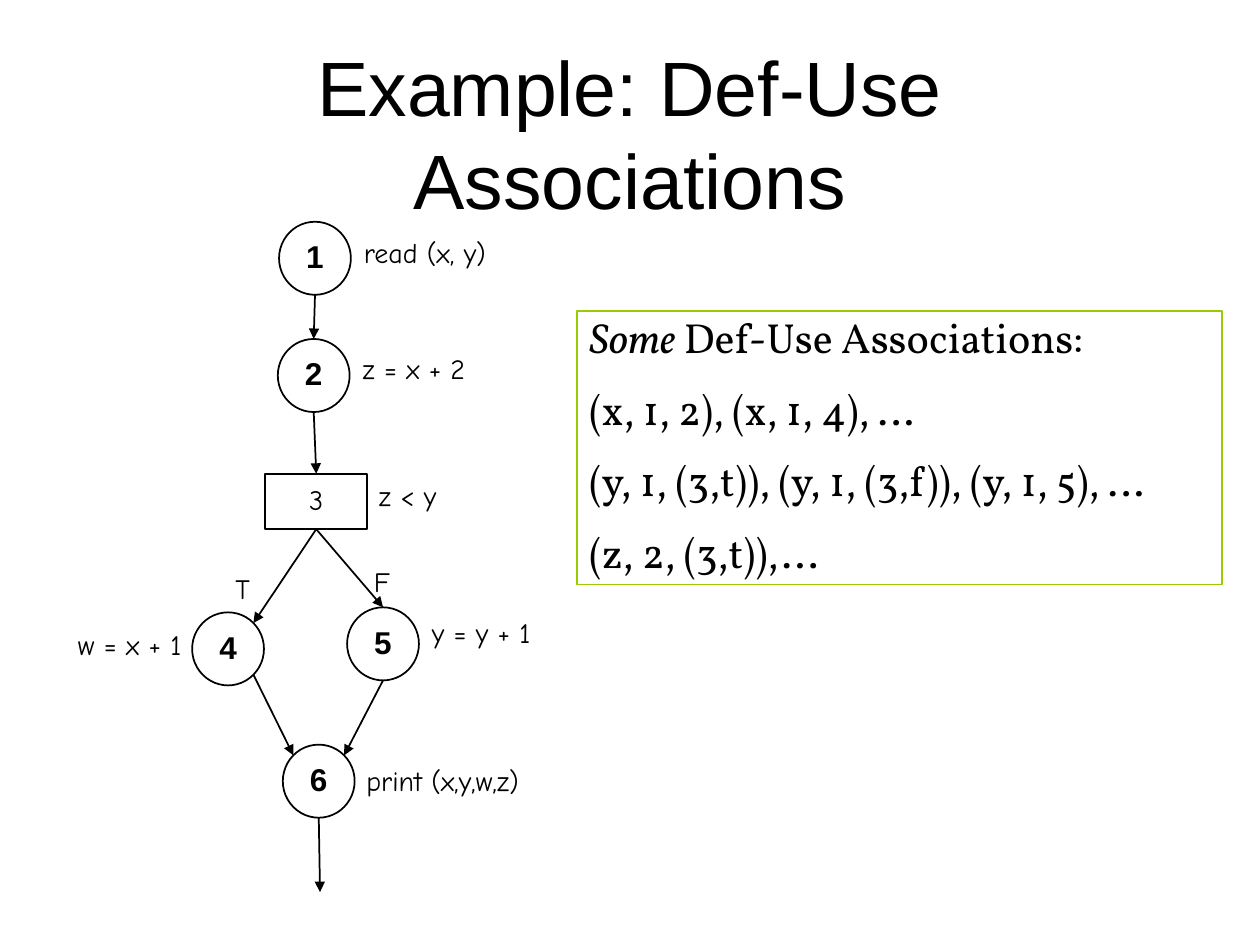
from dataclasses import dataclass
from math import hypot

from lxml.etree import SubElement
from pptx import Presentation
from pptx.dml.color import RGBColor
from pptx.enum.shapes import MSO_CONNECTOR as Connector, MSO_SHAPE as Shape
from pptx.enum.text import MSO_ANCHOR as Anchor, PP_ALIGN as Align
from pptx.oxml.ns import qn
from pptx.util import Inches, Pt


@dataclass(frozen=True)
class Theme:
    """Colours, fonts and sizes of the slide."""
    ink: RGBColor = RGBColor.from_string("000000")
    frame: RGBColor = RGBColor.from_string("99CC00")
    title_font: str = "Arial"
    label_font: str = "Comic Neue"
    body_font: str = "Vollkorn"
    title_size: int = 44
    body_size: int = 24
    node_size: int = 18
    label_size: int = 16
    line_width: int = 1
    spacing: float = 0.9
    body_gap: int = 15


@dataclass(frozen=True)
class Node:
    """A flow graph node, centred on a column and a row."""
    column: float
    row: float
    kind: Shape = Shape.OVAL
    width: float = 5.7
    height: float = 5.8

    def port(self, across, down):
        """Return the outline point in a direction given by signs."""
        reach = hypot(across, down)
        return (self.column + across / reach * self.width / 2,
                self.row + down / reach * self.height / 2)


THEME = Theme()
COLUMNS, ROWS = 100, 75
SLIDE_WIDTH, SLIDE_HEIGHT = Inches(10), Inches(7.5)
LABEL_HEIGHT = 3.4

NODES = {
    "1": Node(25, 20.5),
    "2": Node(24.9, 29.8),
    "3": Node(25.1, 39.8, Shape.RECTANGLE, 8.1, 4.4),
    "4": Node(18.1, 51.5),
    "5": Node(30.4, 51.1),
    "6": Node(25.3, 62),
}
TOP, BOTTOM = (0, -1), (0, 1)
TOP_LEFT, TOP_RIGHT, BOTTOM_RIGHT = (-1, -1), (1, -1), (1, 1)
EDGES = [
    ("1", BOTTOM, "2", TOP),
    ("2", BOTTOM, "3", TOP),
    ("3", BOTTOM, "4", TOP_RIGHT),
    ("3", BOTTOM, "5", TOP),
    ("4", BOTTOM_RIGHT, "6", TOP_LEFT),
    ("5", BOTTOM, "6", TOP_RIGHT),
]
EXIT = (25.4, 70.8)
LABELS = [
    ("read (x, y)", 27.9, 18.5, 13.2),
    ("z = x + 2", 27.8, 27.7, 13.2),
    ("z < y", 29.1, 37.8, 11),
    ("T", 17.7, 45.2, 5.3),
    ("F", 28.7, 44.6, 5.3),
    ("w = x + 1", 5.2, 49.6, 11),
    ("y = y + 1", 33.3, 48.7, 11),
    ("print (x,y,w,z)", 28.1, 60.4, 16.9),
]
ASSOCIATIONS = [
    [("Some", True), (" Def-Use Associations:", False)],
    [("(x, 1, 2), (x, 1, 4), …", False)],
    [("(y, 1, (3,t)), (y, 1, (3,f)), (y, 1, 5), …", False)],
    [("(z, 2, (3,t)),...", False)],
]


def place(column, row):
    """Turn a grid position or extent into slide lengths."""
    return (round(SLIDE_WIDTH * column / COLUMNS),
            round(SLIDE_HEIGHT * row / ROWS))


def add_run(paragraph, text, font_name, size, bold=False, italic=False):
    """Add one styled run to a paragraph."""
    run = paragraph.add_run()
    run.text = text
    font = run.font
    font.name, font.size = font_name, Pt(size)
    font.bold, font.italic = bold, italic
    font.color.rgb = THEME.ink


def add_text(slide, text, column, row, width, height, font_name, size):
    """Add a wrapping text box with one run and return it."""
    box = slide.shapes.add_textbox(*place(column, row), *place(width, height))
    box.text_frame.word_wrap = True
    add_run(box.text_frame.paragraphs[0], text, font_name, size)
    return box


def add_title(slide, text):
    """Add the centred slide title."""
    frame = add_text(slide, text, 7.5, 7.5, 85, 6,
                     THEME.title_font, THEME.title_size).text_frame
    frame.vertical_anchor = Anchor.MIDDLE
    frame.paragraphs[0].alignment = Align.CENTER


def add_label(slide, text, column, row, width):
    """Add a statement or branch label beside the graph."""
    box = add_text(slide, text, column, row, width, LABEL_HEIGHT,
                   THEME.label_font, THEME.label_size)
    box.text_frame.paragraphs[0].line_spacing = THEME.spacing


def add_outline(slide, kind, column, row, width, height, color):
    """Add an unfilled outlined shape and return it."""
    shape = slide.shapes.add_shape(kind, *place(column, row),
                                   *place(width, height))
    shape.shadow.inherit = False
    shape.fill.background()
    shape.line.color.rgb = color
    shape.line.width = Pt(THEME.line_width)
    return shape


def add_node(slide, name, node):
    """Add a numbered node of the flow graph."""
    shape = add_outline(slide, node.kind, node.column - node.width / 2,
                        node.row - node.height / 2, node.width, node.height,
                        THEME.ink)
    frame = shape.text_frame
    frame.word_wrap = False
    frame.vertical_anchor = Anchor.MIDDLE
    paragraph = frame.paragraphs[0]
    paragraph.alignment = Align.CENTER
    paragraph.line_spacing = THEME.spacing
    if node.kind == Shape.OVAL:
        add_run(paragraph, name, THEME.title_font, THEME.node_size, bold=True)
    else:
        add_run(paragraph, name, THEME.label_font, THEME.label_size)


def add_arrow(slide, start, end):
    """Add a straight arrow between two grid points."""
    arrow = slide.shapes.add_connector(Connector.STRAIGHT, *place(*start),
                                       *place(*end))
    arrow.line.color.rgb = THEME.ink
    arrow.line.width = Pt(THEME.line_width)
    SubElement(arrow.line._get_or_add_ln(), qn("a:tailEnd"), type="triangle")
    SubElement(arrow._element.spPr, qn("a:effectLst"))


def add_panel(slide, lines):
    """Add the framed list of associations."""
    panel = add_outline(slide, Shape.RECTANGLE, 45.8, 24.7, 51.2, 21.7,
                        THEME.frame)
    frame = panel.text_frame
    frame.word_wrap = True
    frame.vertical_anchor = Anchor.TOP
    for index, runs in enumerate(lines):
        paragraph = frame.add_paragraph() if index else frame.paragraphs[0]
        paragraph.alignment = Align.LEFT
        paragraph.line_spacing = THEME.spacing
        paragraph.space_before = Pt(THEME.body_gap if index else 0)
        for text, italic in runs:
            add_run(paragraph, text, THEME.body_font, THEME.body_size,
                    italic=italic)


def main():
    """Build and save the slide."""
    presentation = Presentation()
    presentation.slide_width = SLIDE_WIDTH
    presentation.slide_height = SLIDE_HEIGHT
    slide = presentation.slides.add_slide(presentation.slide_layouts[6])
    add_title(slide, "Example: Def-Use Associations")
    for name, node in NODES.items():
        add_node(slide, name, node)
    for source, leave, target, arrive in EDGES:
        add_arrow(slide, NODES[source].port(*leave),
                  NODES[target].port(*arrive))
    add_arrow(slide, NODES["6"].port(*BOTTOM), EXIT)
    for label in LABELS:
        add_label(slide, *label)
    add_panel(slide, ASSOCIATIONS)
    presentation.save("out.pptx")


if __name__ == "__main__":
    main()
